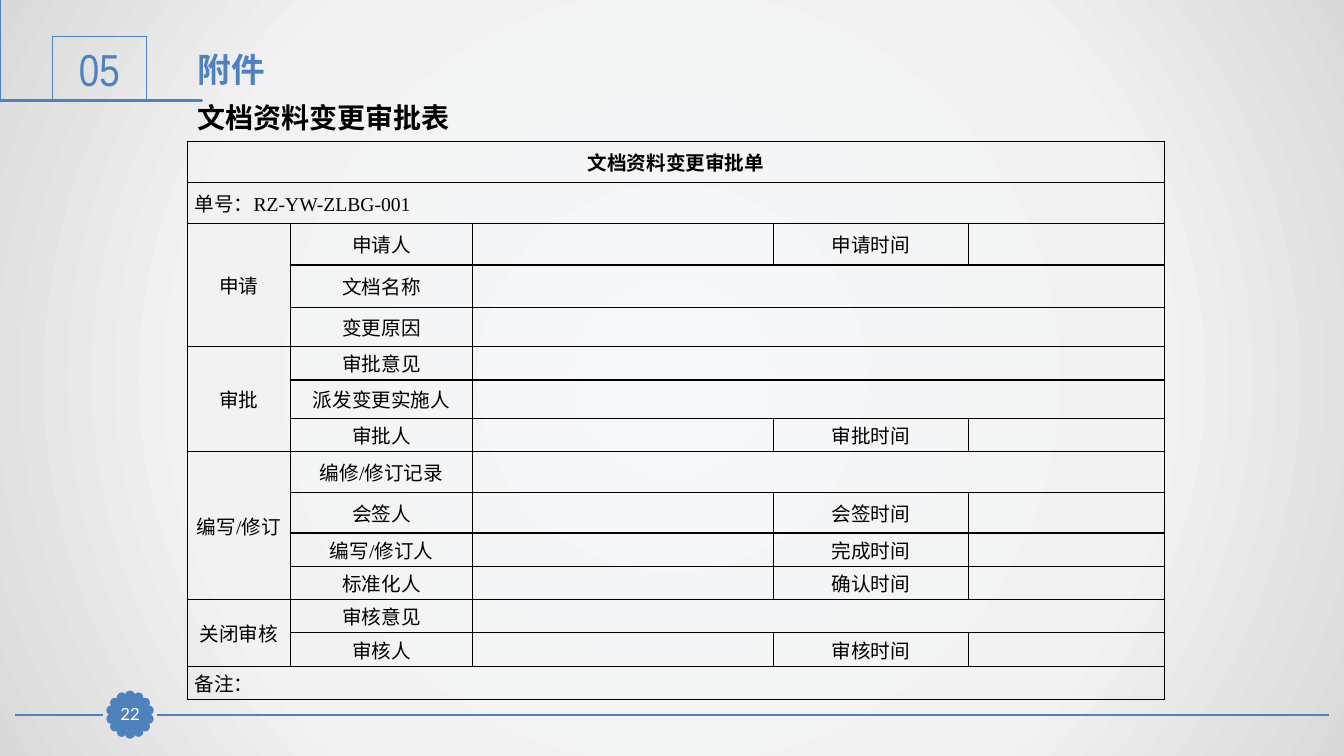
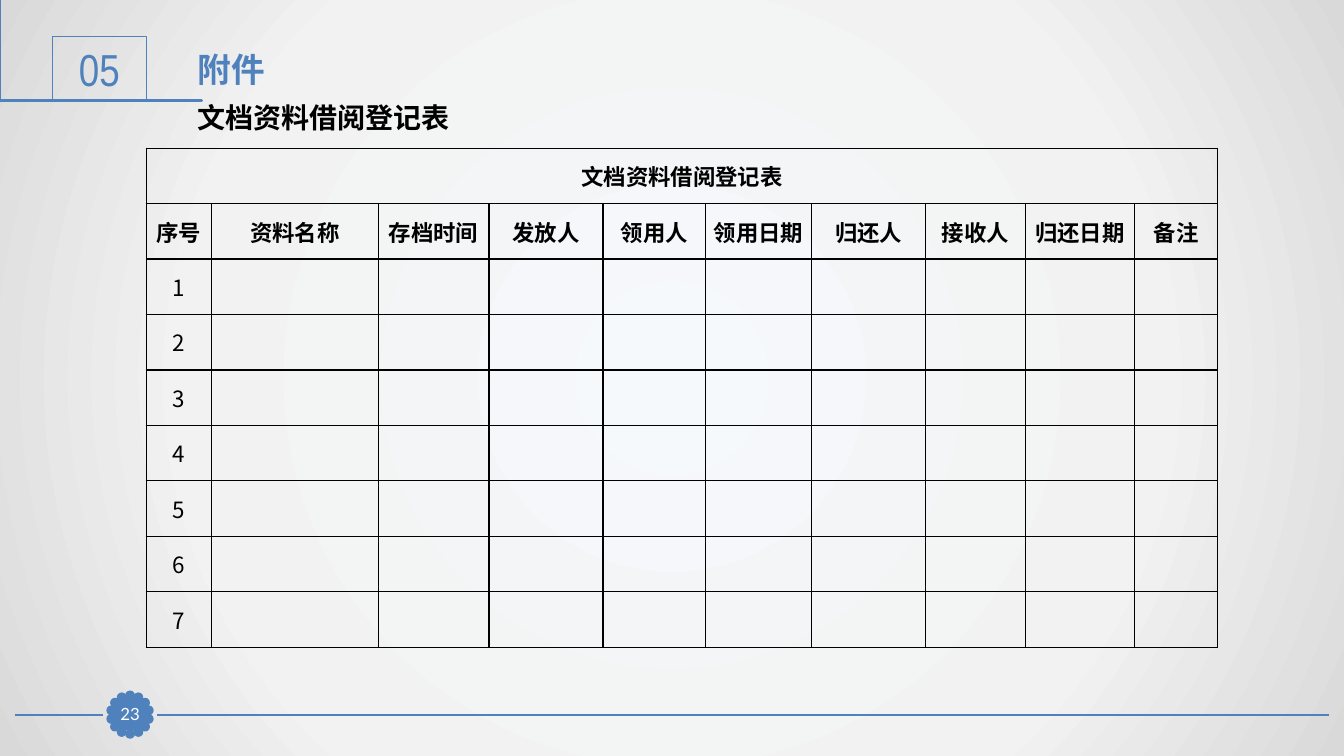
from itertools import product
from math import cos, pi, sin

from lxml import etree
from pptx import Presentation
from pptx import util as u
from pptx.dml import color
from pptx.enum import shapes, text as t
from pptx.oxml import ns

ACCENT, BLACK, WHITE = "4F81BD", "000000", "FFFFFF"
LATIN, TABLE_LATIN, CHINESE = "Lato", "Times New Roman", "Noto Sans CJK SC"
BACKGROUND = [(0, "F6F9FC"), (63, "F2F2F2"), (100, "D9D9D9")]
BOOKMARK = [
    (0.37, 0.46), (0.38, 0.46), (0.38, 0.92), (1.71, 0.92), (1.71, 0.94),
    (0.36, 0.94), (0.36, 0.48), (0.31, 0.48), (0.31, 0.94), (0.19, 0.94),
    (0.19, 0.46), (0.23, 0.46), (0.23, 0.91), (0.28, 0.91), (0.28, 0.46),
]
APPROVAL_COLUMNS = [1.02, 1.81, 2.98, 1.94, 1.94]
APPROVAL_ROWS = [0.41, 0.41, 0.41, 0.42, 0.39, 0.33, 0.38, 0.33,
                 0.41, 0.4, 0.33, 0.33, 0.33, 0.33, 0.33]
APPROVAL_GROUPS = [
    ("申请", [("申请人", "申请时间"), ("文档名称", ""), ("变更原因", "")]),
    ("审批", [("审批意见", ""), ("派发变更实施人", ""), ("审批人", "审批时间")]),
    ("编写/修订", [("编修/修订记录", ""), ("会签人", "会签时间"),
               ("编写/修订人", "完成时间"), ("标准化人", "确认时间")]),
    ("关闭审核", [("审核意见", ""), ("审核人", "审核时间")]),
]
LOAN_COLUMNS = [0.65, 1.65, 1.1, 1.13, 1.02, 1.05, 1.13, 0.99, 1.08, 0.83]
LOAN_HEADINGS = ["序号", "资料名称", "存档时间", "发放人", "领用人",
                 "领用日期", "归还人", "接收人", "归还日期", "备注"]


def rgb(value):
    """Turn a hex string into a colour."""
    return color.RGBColor.from_string(value)


def inches(*values):
    """Turn numbers into lengths."""
    return [u.Inches(value) for value in values]


def write_text(frame, content, size=14, font=LATIN, colour=BLACK, bold=False,
               align=t.PP_ALIGN.LEFT):
    """Write one formatted paragraph into a text frame."""
    paragraph = frame.paragraphs[0]
    paragraph.alignment = align
    run = paragraph.add_run()
    run.text = content
    run.font.size, run.font.bold, run.font.name = u.Pt(size), bold, font
    run.font.color.rgb = rgb(colour)
    properties = run.font.fill._xPr
    etree.SubElement(properties, ns.qn("a:ea"), typeface=CHINESE)


def style_shape(shape, fill=None, width=0.75):
    """Give a shape its fill and accent outline without a shadow."""
    shape.shadow.inherit = False
    if fill:
        shape.fill.solid()
        shape.fill.fore_color.rgb = rgb(fill)
    else:
        shape.fill.background()
    shape.line.color.rgb = rgb(ACCENT)
    shape.line.width = u.Pt(width)


def add_label(slide, box, content, **style):
    """Add a text box that grows with its text."""
    frame = slide.shapes.add_textbox(*inches(*box)).text_frame
    frame.word_wrap = True
    frame.auto_size = t.MSO_AUTO_SIZE.SHAPE_TO_FIT_TEXT
    write_text(frame, content, **style)


def add_box(slide, box, content, fill=None, margin=None, **style):
    """Add a rectangle with centred text."""
    shape = slide.shapes.add_shape(shapes.MSO_SHAPE.RECTANGLE, *inches(*box))
    style_shape(shape, fill)
    frame = shape.text_frame
    frame.vertical_anchor = t.MSO_ANCHOR.MIDDLE
    if margin is not None:
        frame.margin_left = frame.margin_right = u.Inches(margin)
        frame.margin_top = frame.margin_bottom = u.Inches(margin)
    write_text(frame, content, align=t.PP_ALIGN.CENTER, **style)


def add_rule(slide, left, right, y):
    """Add a horizontal footer line."""
    line = slide.shapes.add_connector(
        shapes.MSO_CONNECTOR.STRAIGHT, *inches(left, y, right, y))
    line.line.color.rgb = rgb(ACCENT)
    line.line.width = u.Pt(1.25)
    etree.SubElement(line._element.spPr, ns.qn("a:effectLst"))


def add_badge(slide, number, petals=14, radius=0.19, size=0.07):
    """Add the scalloped page number badge."""
    centre_x, centre_y = 1.29, 7.09
    group = slide.shapes.add_group_shape()
    for index in range(petals):
        angle = 2 * pi * index / petals
        left = centre_x + radius * sin(angle) - size / 2
        top = centre_y - radius * cos(angle) - size / 2
        petal = group.shapes.add_shape(
            shapes.MSO_SHAPE.OVAL, *inches(left, top, size, size))
        style_shape(petal, ACCENT, 2)
    add_box(slide, (1.13, 6.93, 0.32, 0.31), str(number), fill=ACCENT, margin=0,
            size=12, colour=WHITE)


def add_bookmark(slide):
    """Add the book outline beside the section number."""
    builder = slide.shapes.build_freeform(*BOOKMARK[0], scale=u.Inches(1))
    builder.add_line_segments(BOOKMARK[1:], close=True)
    style_shape(builder.convert_to_shape(), ACCENT, 2)


def set_background(master):
    """Give the master a circular gradient."""
    master.background.fill.gradient()
    gradient = master.element.find(".//" + ns.qn("p:bgPr")).find(ns.qn("a:gradFill"))
    for child in list(gradient):
        gradient.remove(child)
    stops = etree.SubElement(gradient, ns.qn("a:gsLst"))
    for position, value in BACKGROUND:
        stop = etree.SubElement(stops, ns.qn("a:gs"), pos=str(position * 1000))
        etree.SubElement(stop, ns.qn("a:srgbClr"), val=value)
    circle = etree.SubElement(gradient, ns.qn("a:path"), path="circle")
    etree.SubElement(circle, ns.qn("a:fillToRect"),
                     dict.fromkeys("ltrb", "50000"))


def add_slide(presentation, number, subtitle):
    """Add a slide with the shared frame and headings."""
    slide = presentation.slides.add_slide(presentation.slide_layouts[6])
    add_rule(slide, 1.56, 13.18, 7.09)
    add_rule(slide, 0.15, 1.02, 7.09)
    add_bookmark(slide)
    add_box(slide, (0.52, 0.36, 0.93, 0.64), "05", size=32,
            font="Arial Narrow", colour=ACCENT)
    add_badge(slide, number)
    add_label(slide, (1.86, 0.44, 9.69, 0.5), "附件", size=24,
              colour=ACCENT, bold=True)
    add_label(slide, (1.86, 0.95, 3.46, 0.44), subtitle, size=20, bold=True)
    return slide


def style_cell(cell):
    """Give a cell black borders, no fill and narrow margins."""
    cell.margin_left = cell.margin_right = u.Inches(0.07)
    cell.margin_top = cell.margin_bottom = 0
    cell.vertical_anchor = t.MSO_ANCHOR.MIDDLE
    properties = cell._tc.get_or_add_tcPr()
    for side in ("lnL", "lnR", "lnT", "lnB"):
        border = etree.SubElement(properties, ns.qn("a:" + side), w=str(u.Pt(1)))
        fill = etree.SubElement(border, ns.qn("a:solidFill"))
        etree.SubElement(fill, ns.qn("a:srgbClr"), val=BLACK)
    cell.fill.background()


def add_grid(slide, left, top, columns, heights):
    """Add an empty bordered table."""
    table = slide.shapes.add_table(
        len(heights), len(columns),
        *inches(left, top, sum(columns), sum(heights))).table
    table.first_row = table.horz_banding = False
    for column, width in zip(table.columns, columns):
        column.width = u.Inches(width)
    for row, height in zip(table.rows, heights):
        row.height = u.Inches(height)
    for row, column in product(range(len(heights)), range(len(columns))):
        style_cell(table.cell(row, column))
    return table


def fill_cell(table, row, column, content, last_row=None, last_column=None,
              font=TABLE_LATIN, align=t.PP_ALIGN.CENTER, **style):
    """Write a cell and merge it as far as the last row and column."""
    cell = table.cell(row, column)
    end = (row if last_row is None else last_row,
           column if last_column is None else last_column)
    if end != (row, column):
        cell.merge(table.cell(*end))
    if content:
        write_text(cell.text_frame, content, font=font, align=align, **style)


def add_approval_form(slide):
    """Add the change approval form."""
    table = add_grid(slide, 1.86, 1.4, APPROVAL_COLUMNS, APPROVAL_ROWS)
    last = len(APPROVAL_COLUMNS) - 1
    fill_cell(table, 0, 0, "文档资料变更审批单", last_column=last, bold=True)
    fill_cell(table, 1, 0, "单号：RZ-YW-ZLBG-001", last_column=last,
              align=t.PP_ALIGN.LEFT)
    row = 2
    for group, entries in APPROVAL_GROUPS:
        fill_cell(table, row, 0, group, last_row=row + len(entries) - 1)
        for label, time_label in entries:
            fill_cell(table, row, 1, label)
            if time_label:
                fill_cell(table, row, 3, time_label)
            else:
                fill_cell(table, row, 2, "", last_column=last)
            row += 1
    fill_cell(table, row, 0, "备注：", last_column=last, align=t.PP_ALIGN.LEFT)


def add_loan_register(slide, entries=7):
    """Add the loan register with numbered empty rows."""
    table = add_grid(slide, 1.45, 1.47, LOAN_COLUMNS, [0.55] * (entries + 2))
    fill_cell(table, 0, 0, "文档资料借阅登记表", size=16, bold=True,
              last_column=len(LOAN_COLUMNS) - 1)
    for column, heading in enumerate(LOAN_HEADINGS):
        fill_cell(table, 1, column, heading, size=16, bold=True)
    for number in range(1, entries + 1):
        fill_cell(table, number + 1, 0, str(number), size=16, font=CHINESE)


def main():
    """Build and save the presentation."""
    presentation = Presentation()
    presentation.slide_width, presentation.slide_height = inches(13.33, 7.5)
    set_background(presentation.slide_master)
    add_approval_form(add_slide(presentation, 22, "文档资料变更审批表"))
    add_loan_register(add_slide(presentation, 23, "文档资料借阅登记表"))
    presentation.save("out.pptx")


if __name__ == "__main__":
    main()
